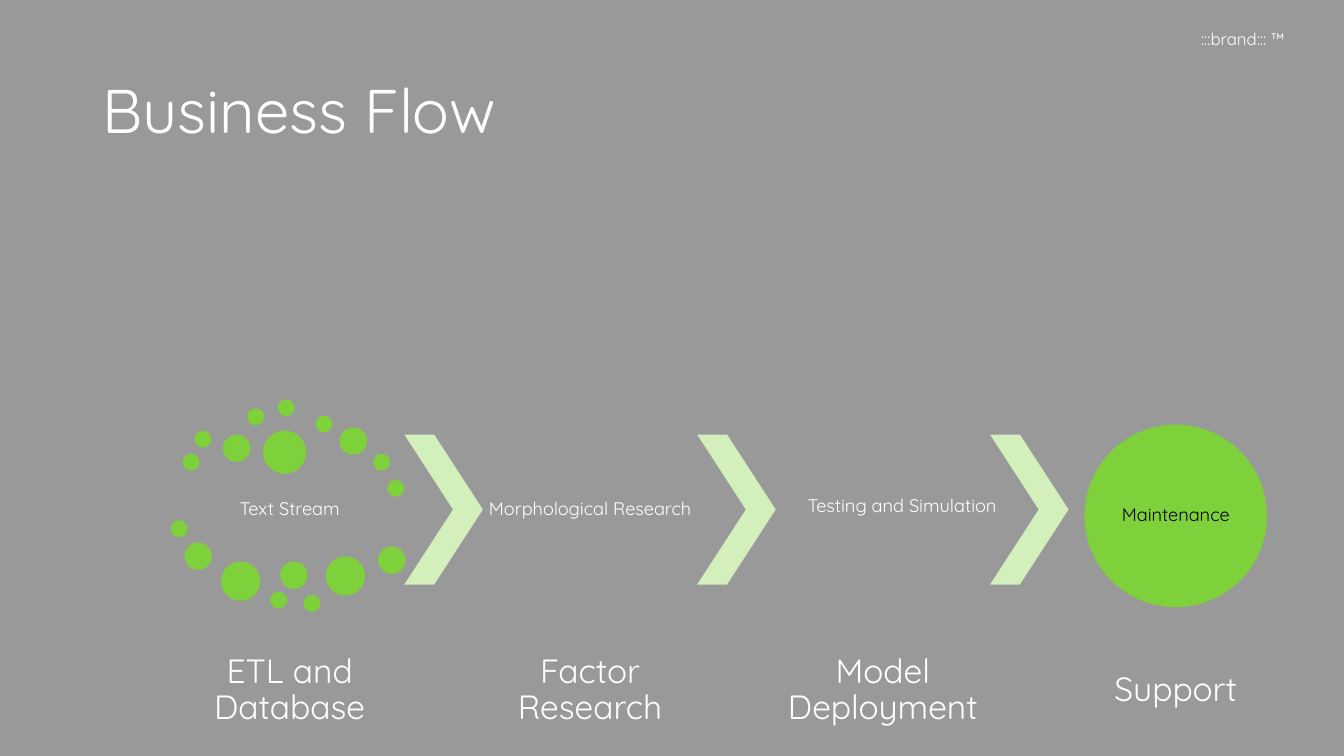
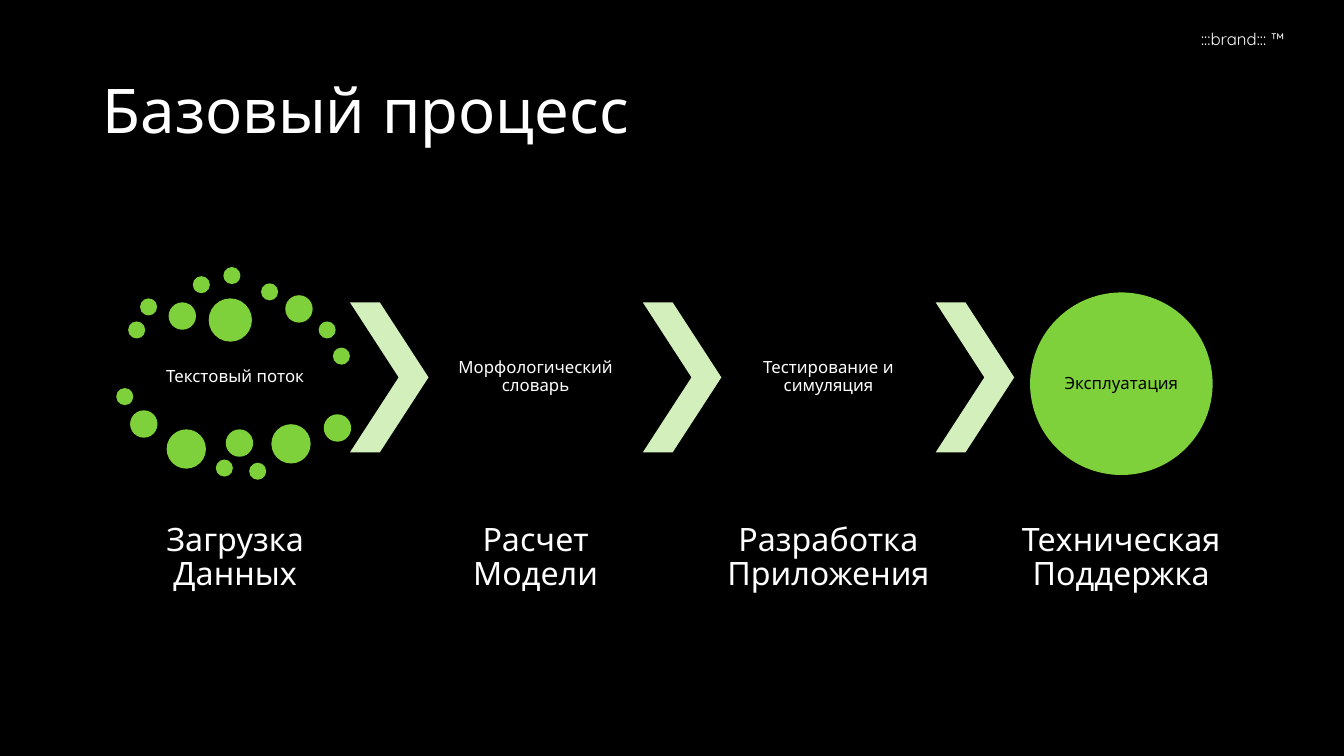
from pptx import Presentation
from pptx.dml.color import RGBColor
from pptx.enum.shapes import MSO_SHAPE as SHAPE
from pptx.enum.text import MSO_ANCHOR as ANCHOR, PP_ALIGN as ALIGN
from pptx.util import Cm, Pt

COLORS = {
    "gray": "999999",
    "black": "000000",
    "white": "FFFFFF",
    "green": "7FD13B",
    "pale": "D3EFBB",
}
FONT = "Quicksand"

# Flow geometry in cm, measured from the flow's left edge and chevron top
STEP = 7.38
CHEVRON_X, CHEVRON_W, ROW_H = 5.59, 1.98, 3.78
COLUMN_W = 5.4
CAPTION_Y, CAPTION_H = 4.78, 3.33
CIRCLE_X, CIRCLE_Y, CIRCLE_D = 22.73, -0.25, 4.6

# Dots of the text stream by diameter: (left, top)
DOTS = {
    0.43: [(0, 0.48), (0.3, -0.1), (1.63, -0.66), (2.4, -0.89),
           (3.35, -0.48), (4.8, 0.48), (5.16, 1.14), (-0.3, 2.16),
           (2.21, 3.96), (3.05, 4.04)],
    0.69: [(1.02, 0), (3.96, -0.18), (0.05, 2.72), (2.46, 3.2), (4.93, 2.82)],
    0.99: [(0.97, 3.2), (3.61, 3.07)],
    1.09: [(2.03, -0.1)],
}

# Stages: (label, caption, label shift)
SLIDES = [
    {
        "title": "Business Flow", "back": "gray", "origin": (4.6, 10.95),
        "label_size": 13, "caption_size": 24,
        "stages": [
            ("Text Stream", "ETL and Database", (0, 0)),
            ("Morphological Research", "Factor Research", (0, 0)),
            ("Testing and Simulation", "Model Deployment", (0.48, -0.08)),
            ("Maintenance", "Support", (0, 0)),
        ],
    },
    {
        "title": "Базовый процесс", "back": "black", "origin": (3.23, 7.62),
        "label_size": 12, "caption_size": 23,
        "stages": [
            ("Текстовый поток", "Загрузка Данных", (0, 0)),
            ("Морфологический словарь", "Расчет Модели", (0, 0)),
            ("Тестирование и симуляция", "Разработка Приложения", (0, 0)),
            ("Эксплуатация", "Техническая Поддержка", (0, 0)),
        ],
    },
]


def write(sp, text, size, color="white", align=ALIGN.CENTER, margins=(0.06, 0.06)):
    tf = sp.text_frame
    tf.word_wrap = True
    tf.vertical_anchor = ANCHOR.MIDDLE
    tf.margin_left = tf.margin_right = Cm(margins[0])
    tf.margin_top = tf.margin_bottom = Cm(margins[1])
    p = tf.paragraphs[0]
    p.alignment = align
    p.line_spacing = 0.9
    r = p.add_run()
    r.text = text
    r.font.name = FONT
    r.font.size = Pt(size)
    r.font.color.rgb = RGBColor.from_string(COLORS[color])


def add_filled(shapes, kind, x, y, w, h, color):
    sp = shapes.add_shape(kind, Cm(x), Cm(y), Cm(w), Cm(h))
    sp.shadow.inherit = False
    sp.fill.solid()
    sp.fill.fore_color.rgb = RGBColor.from_string(COLORS[color])
    sp.line.fill.background()
    return sp


prs = Presentation()
prs.slide_width, prs.slide_height = Cm(33.87), Cm(19.05)

for content in SLIDES:
    s = prs.slides.add_slide(prs.slide_layouts[6])
    s.background.fill.solid()
    s.background.fill.fore_color.rgb = RGBColor.from_string(COLORS[content["back"]])

    # Brand line and title
    brand = s.shapes.add_textbox(Cm(30.02), Cm(0.66), Cm(3.1), Cm(0.71))
    write(brand, ":::brand::: ™", 12, align=ALIGN.LEFT, margins=(0.25, 0.13))
    title = s.shapes.add_textbox(Cm(2.34), Cm(1.02), Cm(29.21), Cm(3.68))
    write(title, content["title"], 44, align=ALIGN.LEFT, margins=(0.25, 0.13))

    # Dots around the first stage
    flow = s.shapes.add_group_shape().shapes
    x0, y0 = content["origin"]
    for d, places in DOTS.items():
        for x, y in places:
            add_filled(flow, SHAPE.OVAL, x0 + x, y0 + y, d, d, "green")

    # Stages, each after the first led by a chevron
    last = len(content["stages"]) - 1
    for i, (label, caption, (dx, dy)) in enumerate(content["stages"]):
        column_x = x0
        if i:
            chevron_x = x0 + CHEVRON_X + STEP * (i - 1)
            chevron = add_filled(flow, SHAPE.CHEVRON, chevron_x, y0,
                                 CHEVRON_W, ROW_H, "pale")
            chevron.adjustments[0] = 0.62
            column_x = chevron_x + CHEVRON_W

        if i == last:
            circle = add_filled(flow, SHAPE.OVAL, x0 + CIRCLE_X, y0 + CIRCLE_Y,
                                CIRCLE_D, CIRCLE_D, "green")
            write(circle, label, content["label_size"], "black", margins=(0, 0))
        else:
            sp = flow.add_textbox(Cm(column_x + dx), Cm(y0 + dy),
                                  Cm(COLUMN_W), Cm(ROW_H))
            write(sp, label, content["label_size"])

        sp = flow.add_textbox(Cm(column_x), Cm(y0 + CAPTION_Y),
                              Cm(COLUMN_W), Cm(CAPTION_H))
        write(sp, caption, content["caption_size"])

prs.save("out.pptx")
